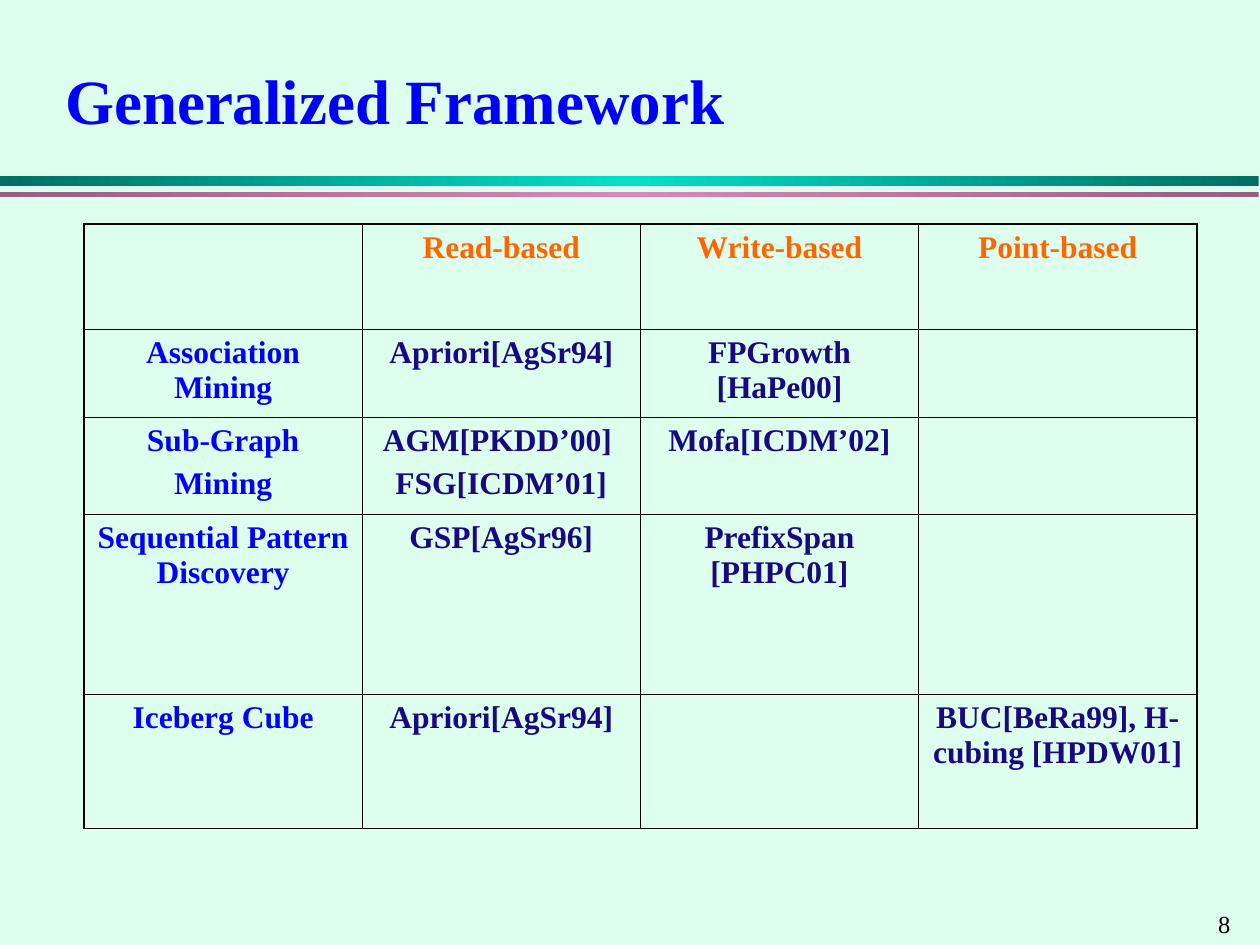
from copy import deepcopy

from lxml.etree import SubElement
from pptx import Presentation
from pptx.dml.color import RGBColor
from pptx.enum.shapes import MSO_SHAPE
from pptx.enum.text import MSO_ANCHOR, PP_ALIGN
from pptx.oxml.ns import qn
from pptx.util import Inches, Pt

WIDTH, HEIGHT = Inches(10), Inches(7.5)
FONT = "Times New Roman"
BACKGROUND, BLACK, BLUE, NAVY, ORANGE = "DEFEEE", "000000", "0000FF", "170981", "FF6600"
THIN, THICK = 0.45, 1.08
ROW_SHARES = [17.36, 14.55, 16.1, 29.8, 22.19]
ROWS = [
    ["", "Read-based", "Write-based", "Point-based"],
    ["Association Mining", "Apriori[AgSr94]", "FPGrowth [HaPe00]", ""],
    ["Sub-Graph\nMining", "AGM[PKDD’00] \nFSG[ICDM’01]", "Mofa[ICDM’02]", ""],
    ["Sequential Pattern Discovery", "GSP[AgSr96]", "PrefixSpan [PHPC01]", ""],
    ["Iceberg Cube", "Apriori[AgSr94]", "", "BUC[BeRa99], H-cubing [HPDW01]"],
]


def rgb(value):
    """Return the colour for a hex string."""
    return RGBColor.from_string(value)


def share(left, top, width, height):
    """Turn percentages of the slide into a box."""
    return (int(WIDTH * left / 100), int(HEIGHT * top / 100),
            int(WIDTH * width / 100), int(HEIGHT * height / 100))


def set_font(p, size, color, bold):
    """Set the font of one paragraph."""
    p.font.name, p.font.size, p.font.bold = FONT, Pt(size), bold
    p.font.color.rgb = rgb(color)


def add_text(s, box, text, size, color, bold=False, anchor=MSO_ANCHOR.TOP):
    """Place one line of text in the box."""
    tf = s.shapes.add_textbox(*box).text_frame
    tf.word_wrap, tf.vertical_anchor, tf.text = True, anchor, text
    set_font(tf.paragraphs[0], size, color, bold)


def add_band(s, box, edge, middle):
    """Place a borderless bar that shades from edge to middle and back."""
    sp = s.shapes.add_shape(MSO_SHAPE.RECTANGLE, *box)
    sp.shadow.inherit = False
    sp.line.fill.background()
    sp.fill.gradient()
    sp.fill.gradient_angle = 0
    stops = sp.fill._fill._gradFill.gsLst
    stops.append(deepcopy(stops[-1]))
    for stop, position, color in zip(sp.fill.gradient_stops, (0, 0.5, 1), (edge, middle, edge)):
        stop.position = position
        stop.color.rgb = rgb(color)


def set_borders(cell, widths):
    """Draw the left, right, top and bottom borders of a cell."""
    tc_pr = cell._tc.get_or_add_tcPr()
    for side, width in zip("LRTB", widths):
        ln = SubElement(tc_pr, qn(f"a:ln{side}"), w=str(Pt(width)))
        SubElement(SubElement(ln, qn("a:solidFill")), qn("a:srgbClr"), val=BLACK)


def add_framework(s, box):
    """Place the table of mining tasks against approaches in the box."""
    left, top, width, height = box
    last_row, last_col = len(ROWS) - 1, len(ROWS[0]) - 1
    table = s.shapes.add_table(last_row + 1, last_col + 1, *box).table
    table.first_row = table.horz_banding = False
    for column in table.columns:
        column.width = width // (last_col + 1)
    for i, (row, row_share) in enumerate(zip(ROWS, ROW_SHARES)):
        table.rows[i].height = int(height * row_share / 100)
        for j, text in enumerate(row):
            cell = table.cell(i, j)
            outer = (j == 0, j == last_col, i == 0, i == last_row)
            set_borders(cell, [THICK if edge else THIN for edge in outer])
            cell.fill.background()
            cell.text = text
            color = ORANGE if i == 0 else BLUE if j == 0 else NAVY
            for p in cell.text_frame.paragraphs:
                p.alignment, p.space_before = PP_ALIGN.CENTER, Pt(4.5)
                set_font(p, 18, color, True)


def main():
    """Build and save the slide."""
    prs = Presentation()
    prs.slide_width, prs.slide_height = WIDTH, HEIGHT
    s = prs.slides.add_slide(prs.slide_layouts[6])
    s.background.fill.solid()
    s.background.fill.fore_color.rgb = rgb(BACKGROUND)
    add_band(s, share(0, 18.65, 99.9, 1.07), "006E64", "00DFCA")
    add_band(s, share(0, 20.3, 99.9, 0.53), "965F7F", "D989B8")
    add_text(s, share(95.7, 95.55, 4.3, 4.5), "8", 14, BLACK)
    add_text(s, share(4.2, 5.6, 91.7, 9.73), "Generalized Framework", 36, BLUE, True, MSO_ANCHOR.MIDDLE)
    add_framework(s, share(6.67, 23.73, 88.33, 63.9))
    prs.save("out.pptx")


if __name__ == "__main__":
    main()
